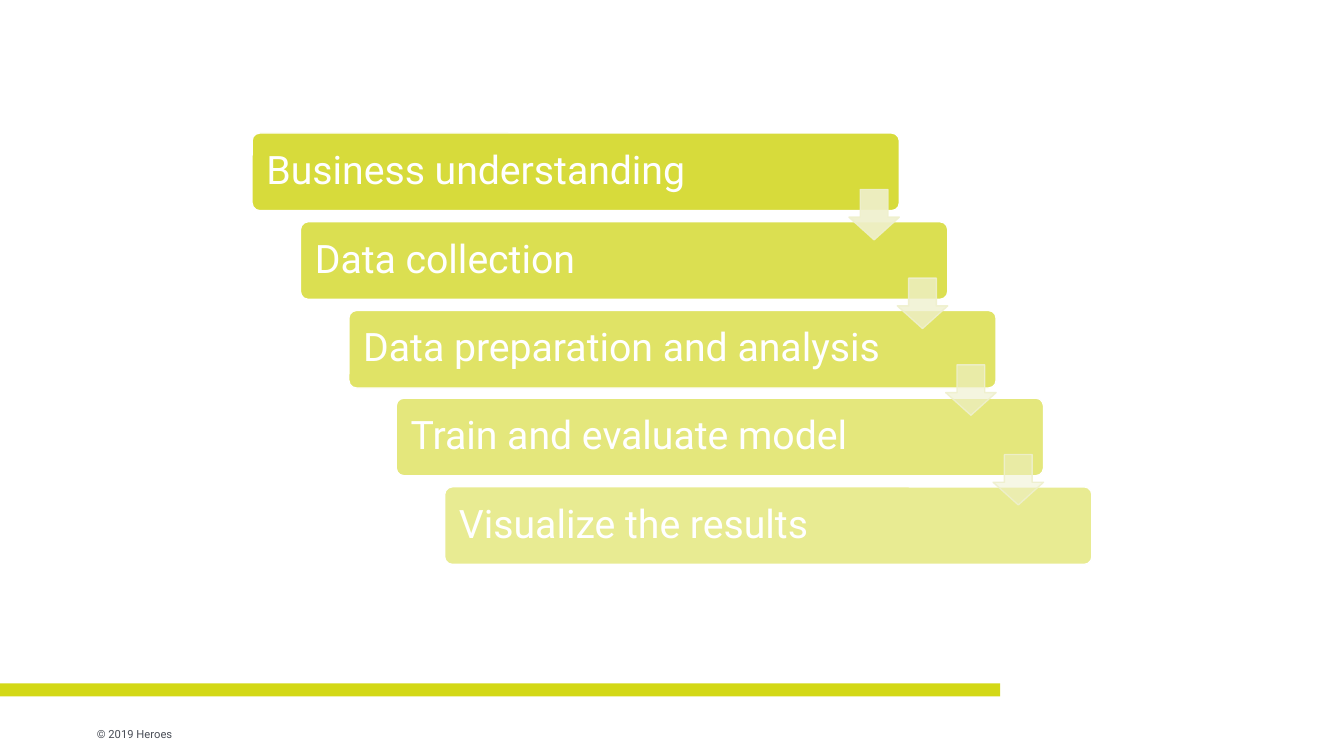
import pptx
import pptx.dml.color
import pptx.enum.shapes
import pptx.enum.text
import pptx.oxml
import pptx.oxml.ns
import pptx.util

PX = 9144  # EMU per px, 100 px to the inch
SHAPES = pptx.enum.shapes.MSO_SHAPE

deck = pptx.Presentation()
deck.slide_width, deck.slide_height = 1333 * PX, 750 * PX
slide = deck.slides.add_slide(deck.slide_layouts[6])


def paint(color_format, hex_color, opacity=100):
    color_format.solid()
    color_format.fore_color.rgb = pptx.dml.color.RGBColor.from_string(hex_color)
    if opacity < 100:
        color = color_format._xPr.find(".//" + pptx.oxml.ns.qn("a:srgbClr"))
        alpha = pptx.oxml.parse_xml(f'<a:alpha {pptx.oxml.ns.nsdecls("a")} val="{opacity * 1000}"/>')
        color.append(alpha)


def write(shape, text, size, color, insets, line_spacing=1.0):
    frame = shape.text_frame
    frame.word_wrap = True
    frame.vertical_anchor = pptx.enum.text.MSO_ANCHOR.MIDDLE
    frame.margin_left, frame.margin_top, frame.margin_right, frame.margin_bottom = (
        inset * PX for inset in insets)
    paragraph = frame.paragraphs[0]
    paragraph.alignment = pptx.enum.text.PP_ALIGN.LEFT
    paragraph.line_spacing = line_spacing
    run = paragraph.add_run()
    run.text = text
    run.font.name = "Roboto"
    run.font.size = pptx.util.Pt(size)
    paint(run.font.fill, color)


# Footer: copyright and accent stripe
copyright_line = slide.shapes.add_textbox(92 * PX, 710 * PX, 165 * PX, 32 * PX)
write(copyright_line, "© 2019 Heroes", size=8, color="494D56", insets=(4, 4, 4, 0))

stripe = slide.shapes.add_shape(SHAPES.RECTANGLE, 0, 678 * PX, 992 * PX, 13 * PX)
stripe.shadow.inherit = False
paint(stripe.fill, "D3D816")
stripe.line.fill.background()

# Staircase of process steps, fading downwards
steps = ["Business understanding", "Data collection", "Data preparation and analysis",
         "Train and evaluate model", "Visualize the results"]
step_lefts = [round(250 + 47.75 * i) for i in range(len(steps))]
for i, (step, left) in enumerate(zip(steps, step_lefts)):
    top = round(132 + 87.75 * i)
    bar = slide.shapes.add_shape(SHAPES.ROUNDED_RECTANGLE, left * PX, top * PX, 642 * PX, 77 * PX)
    bar.adjustments[0] = 0.1
    bar.shadow.inherit = False
    paint(bar.fill, "D3D826", opacity=90 - 10 * i)
    paint(bar.line.fill, "FFFFFF")
    bar.line.width = pptx.util.Pt(1)
    write(bar, step, size=28, color="FFFFFF", insets=(12, 12, 12, 12), line_spacing=0.9)

# Arrows from each step to the next
for left, top, opacity in zip(step_lefts, (188, 276, 362, 451), (90, 77, 63, 50)):
    arrow = slide.shapes.add_shape(SHAPES.DOWN_ARROW, (left + 592) * PX, top * PX, 50 * PX, 50 * PX)
    arrow.adjustments[0] = 0.55
    arrow.adjustments[1] = 0.45
    arrow.shadow.inherit = False
    paint(arrow.fill, "EFF0CD", opacity=opacity)
    paint(arrow.line.fill, "EFF0CD", opacity=90)
    arrow.line.width = pptx.util.Pt(1)

deck.save("out.pptx")
